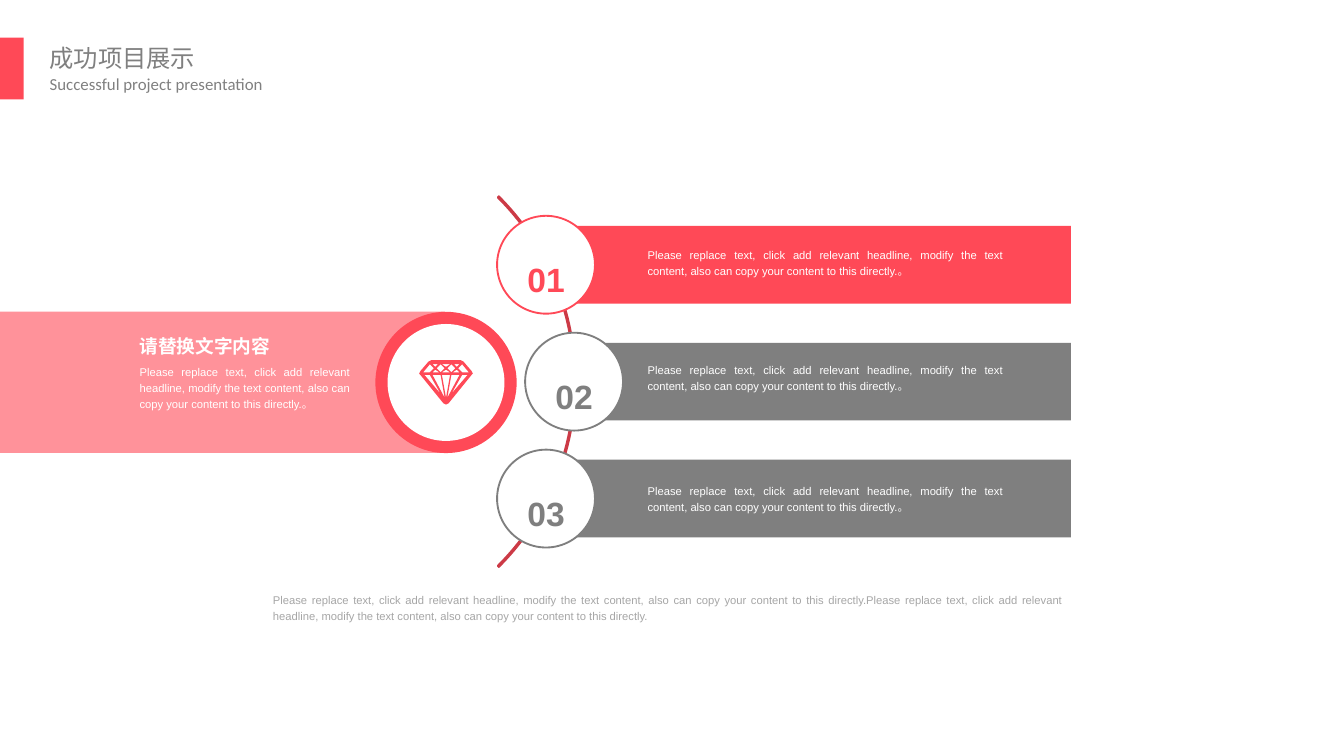
from pptx import Presentation
from pptx import util as u
from pptx.dml.color import RGBColor
from pptx.enum import shapes, text
from pptx.oxml import ns, xmlchemy

RED = RGBColor(0xFF, 0x49, 0x57)
PINK = RGBColor(0xFF, 0x92, 0x9A)
DARK_RED = RGBColor(0xCC, 0x3A, 0x46)
WHITE = RGBColor(0xFF, 0xFF, 0xFF)
GREY = RGBColor(0x7F, 0x7F, 0x7F)
TITLE_GREY = RGBColor(0x80, 0x80, 0x80)
LIGHT_GREY = RGBColor(0xA6, 0xA6, 0xA6)

SENTENCE = ("Please replace text, click add relevant headline, modify the text "
            "content, also can copy your content to this directly.")
RECTANGLE = shapes.MSO_SHAPE.RECTANGLE
OVAL = shapes.MSO_SHAPE.OVAL
CENTER = text.PP_ALIGN.CENTER
JUSTIFY = text.PP_ALIGN.JUSTIFY

GEM_SIDE_FACETS = [
    [(-12, 3), (-9, 6), (-12, 9), (-17, 9)],
    [(-4, 25), (-16, 11), (-12, 11)],
    [(-4, 11), (-1, 28), (-10, 11)],
    [(-8, 7), (-5, 9), (-10, 9)],
    [(-8, 5), (-10, 3), (-6, 3)],
    [(-4, 9), (-7, 6), (-4, 3), (-1, 6)],
]
GEM_MIDDLE_FACETS = [
    [(0, 5), (-3, 3), (3, 3)],
    [(3, 11), (0, 28), (-3, 11)],
    [(3, 9), (-3, 9), (0, 7)],
]
GEM_LEFT_EDGE = [(-11, 0), (-13, 1), (-19, 8), (-20, 10), (-19, 11), (-2, 32), (0, 33)]


def mirror(points):
    return [(-x, y) for x, y in reversed(points)]


def write(frame, words, size, color, face="Arial", bold=False, align=None, spacing=1.2):
    para = frame.paragraphs[0]
    para.alignment = align
    para.line_spacing = spacing
    span = para.add_run()
    span.text = words
    span.font.size = u.Pt(size)
    span.font.name = face
    span.font.bold = bold
    span.font.color.rgb = color
    east_asian = xmlchemy.OxmlElement("a:ea")
    east_asian.set("typeface", face)
    span.font._element.find(ns.qn("a:latin")).addnext(east_asian)


class SlideBuilder:
    def __init__(self, slide, line_width=1):
        self.slide = slide
        self.line_width = u.Pt(line_width)

    def paint(self, shape, fill, line):
        shape.shadow.inherit = False
        if fill is None:
            shape.fill.background()
        else:
            shape.fill.solid()
            shape.fill.fore_color.rgb = fill
        if line is None:
            shape.line.fill.background()
        else:
            shape.line.color.rgb = line
            shape.line.width = self.line_width
        return shape

    def shape(self, kind, left, top, width, height, fill=None, line=None):
        shape = self.slide.shapes.add_shape(
            kind, u.Cm(left), u.Cm(top), u.Cm(width), u.Cm(height))
        return self.paint(shape, fill, line)

    def circle(self, center_x, center_y, diameter, fill, line=None):
        return self.shape(OVAL, center_x - diameter / 2, center_y - diameter / 2,
                          diameter, diameter, fill, line)

    def label(self, words, left, top, width, height, wrap=True, insets=(0.25, 0.13), **style):
        box = self.slide.shapes.add_textbox(
            u.Cm(left), u.Cm(top), u.Cm(width), u.Cm(height))
        frame = box.text_frame
        frame.word_wrap = wrap
        frame.auto_size = text.MSO_AUTO_SIZE.SHAPE_TO_FIT_TEXT
        frame.margin_left = frame.margin_right = u.Cm(insets[0])
        frame.margin_top = frame.margin_bottom = u.Cm(insets[1])
        write(frame, words, **style)

    def gem(self, center_x, top, unit, fill):
        outline = GEM_LEFT_EDGE + mirror(GEM_LEFT_EDGE)[1:]
        facets = GEM_SIDE_FACETS + [mirror(facet) for facet in GEM_SIDE_FACETS]
        builder = self.slide.shapes.build_freeform(*outline[0], scale=u.Cm(unit))
        builder.add_line_segments(outline[1:], close=True)
        for facet in facets + GEM_MIDDLE_FACETS:
            builder.move_to(*facet[0])
            builder.add_line_segments(facet[1:], close=True)
        self.paint(builder.convert_to_shape(u.Cm(center_x), u.Cm(top)), fill, None)

    def arc(self, left, top, diameter, line):
        arc = self.shape(shapes.MSO_SHAPE.BLOCK_ARC, left, top, diameter, diameter, line=line)
        for index, value in enumerate((189, 27, 0.003)):
            arc.adjustments[index] = value

    def item(self, number, center_x, top, text_top, color, bar_color):
        height, right, number_width = 1.47, 20.24, 1.22
        self.shape(RECTANGLE, center_x, top, right - center_x, height, bar_color)
        self.circle(center_x, top + height / 2, 1.85, WHITE, color)
        self.label(number, center_x - number_width / 2, top + 0.35, number_width, 1.17,
                   wrap=False, size=18, color=color, bold=True, align=CENTER)
        self.label(SENTENCE + "。", 11.99, text_top, 7.21, 0.86,
                   size=6, color=WHITE, align=JUSTIFY)


def main():
    deck = Presentation()
    deck.slide_width, deck.slide_height = u.Cm(25.4), u.Cm(14.29)
    page = SlideBuilder(deck.slides.add_slide(deck.slide_layouts[6]))

    page.label("成功项目展示", 0.74, 0.71, 3.18, 0.74, wrap=False, insets=(0.2, 0.1),
               size=13, color=TITLE_GREY, face="Noto Sans CJK SC", spacing=1.0)
    page.label("Successful project presentation", 0.74, 1.3, 4.47, 0.58, wrap=False,
               insets=(0.2, 0.1), size=9, color=TITLE_GREY, face="Calibri", spacing=1.0)
    page.shape(RECTANGLE, 0, 0.71, 0.45, 1.17, RED)

    page.shape(RECTANGLE, 0, 5.89, 8.41, 2.67, PINK)
    page.circle(8.43, 7.23, 2.67, RED)
    page.circle(8.43, 7.23, 2.21, WHITE)
    page.gem(8.43, 6.81, 0.0254, RED)
    page.label("请替换文字内容", 2.39, 6.12, 3, 0.76, wrap=False,
               size=10, color=WHITE, bold=True)
    page.label(SENTENCE + "。", 2.39, 6.73, 4.47, 1.17, size=6, color=WHITE, align=JUSTIFY)

    page.arc(0.97, 2.26, 9.91, DARK_RED)
    items = [("01", 10.32, 4.52, RED), ("02", 10.85, 6.68, GREY), ("03", 10.32, 8.97, GREY)]
    for index, (number, center_x, text_top, color) in enumerate(items):
        page.item(number, center_x, 4.27 + 2.21 * index, text_top, color, color)

    page.label(SENTENCE * 2, 4.98, 11.07, 15.27, 0.79, insets=(0.18, 0.1),
               size=6, color=LIGHT_GREY, align=JUSTIFY)
    deck.save("out.pptx")


if __name__ == "__main__":
    main()
